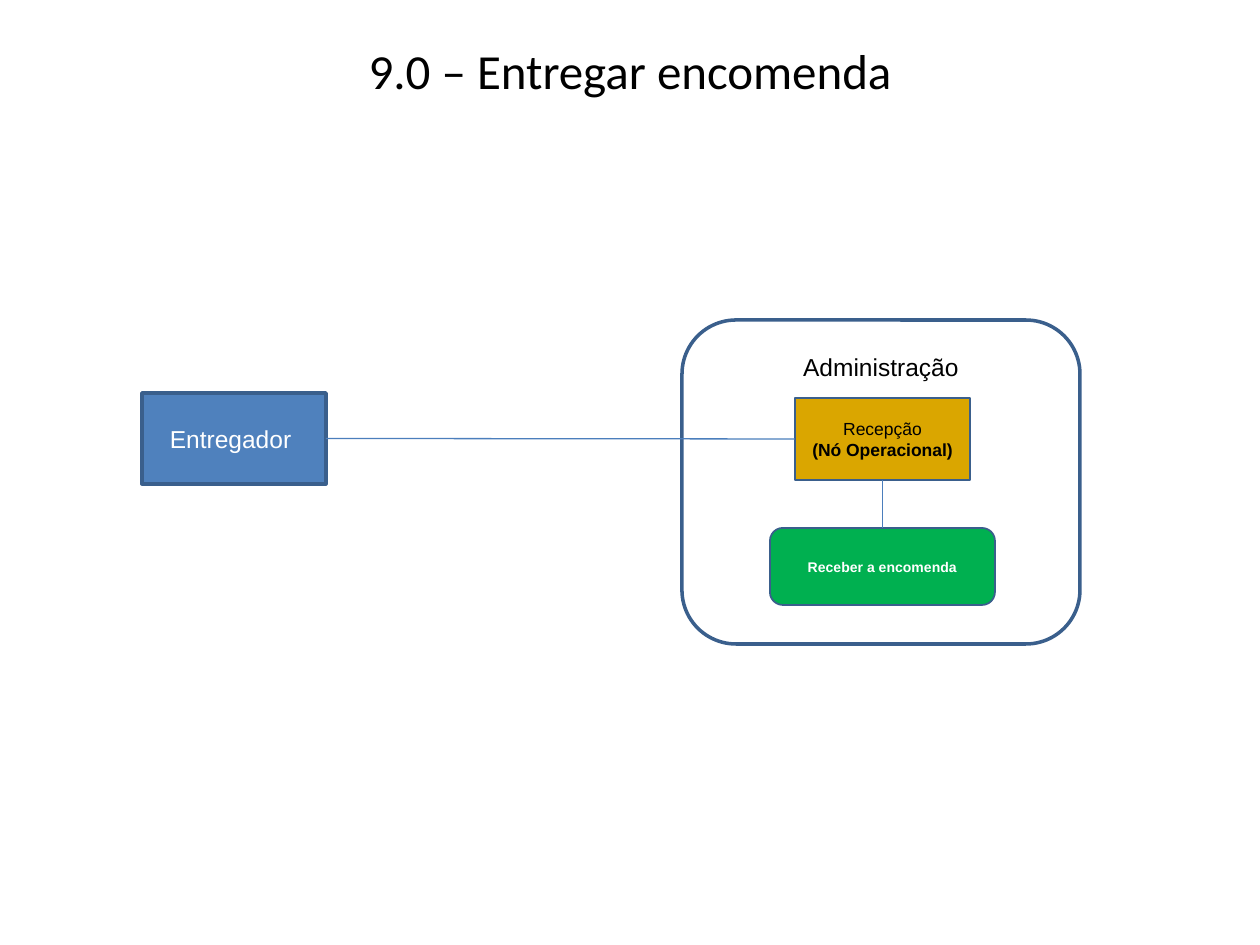
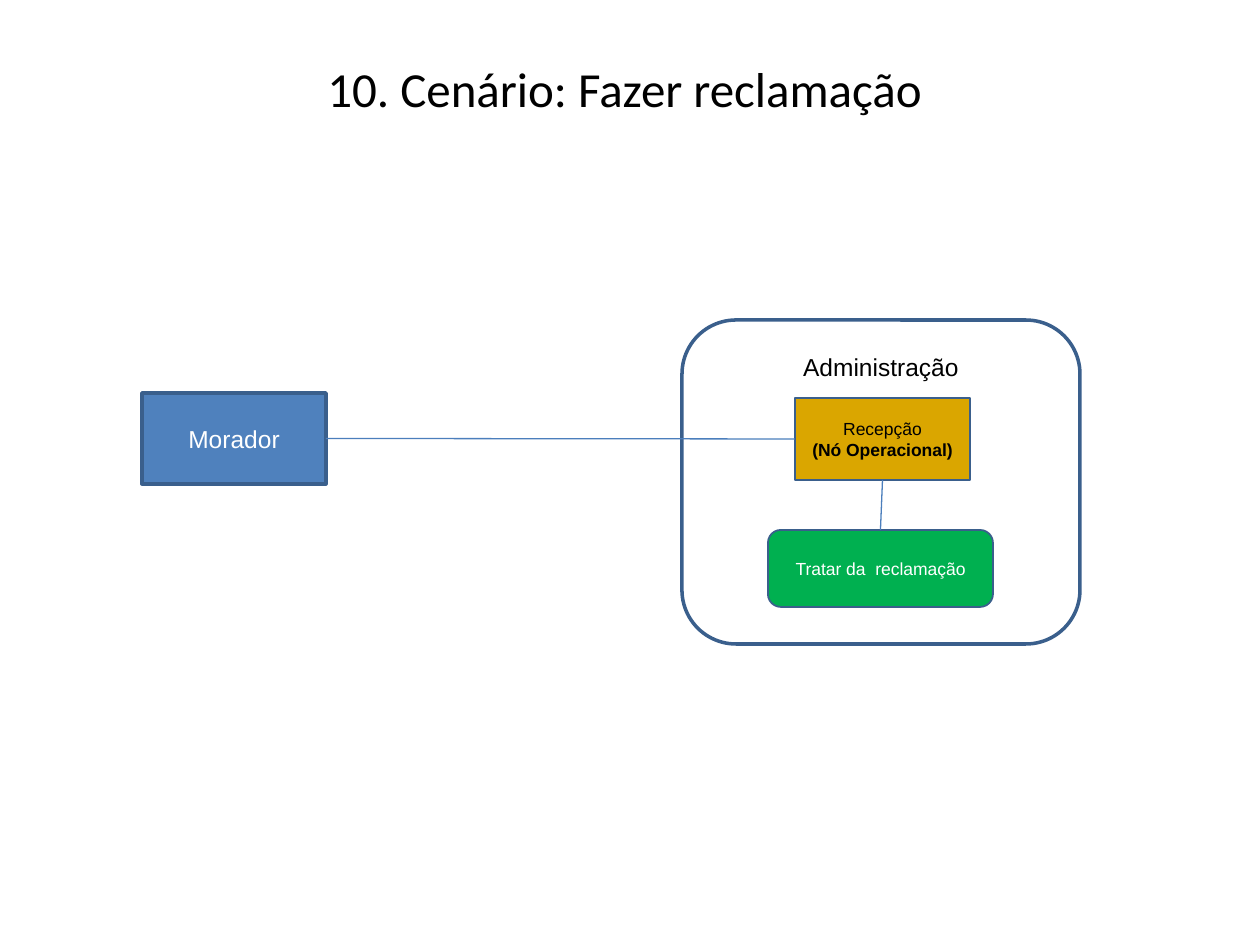
"""Builds two operational-node scenario slides that share one diagram."""
from lxml import etree
from pptx import Presentation
from pptx import util as u
from pptx.dml.color import RGBColor
from pptx.enum import shapes, text
from pptx.oxml import ns

PX = u.Inches(1) / 126
BLACK, WHITE = "000000", "FFFFFF"
ACTOR_BLUE, NODE_GOLD, TASK_GREEN = "4F81BD", "DAA600", "00B050"
OUTLINE, LINK = "3A5F8C", "4B7EBC"
RECT = shapes.MSO_SHAPE.RECTANGLE
ROUND = shapes.MSO_SHAPE.ROUNDED_RECTANGLE

SCENARIOS = [
    dict(title="9.0 – Entregar encomenda", title_inset=3, actor="Entregador ",
         task="Receber a encomenda", task_place=(770, 528, 225, 77),
         task_format=dict(size=8, bold=True)),
    dict(title="10. Cenário: Fazer reclamação ", title_inset=21, actor="Morador",
         task="Tratar da  reclamação", task_place=(768, 530, 225, 77),
         task_format=dict(size=10)),
]


def px(*lengths):
    return [u.Emu(round(length * PX)) for length in lengths]


def write(shape, *lines, size=14, color=BLACK, font="Arial", bold=(), inset=None):
    """Fill a shape with centred lines; an inset in px anchors them to the top."""
    frame = shape.text_frame
    frame.word_wrap = True
    frame.auto_size = text.MSO_AUTO_SIZE.NONE
    frame.vertical_anchor = text.MSO_ANCHOR.MIDDLE
    if inset is not None:
        frame.vertical_anchor = text.MSO_ANCHOR.TOP
        frame.margin_top = px(inset)[0]
    for number, line in enumerate(lines):
        para = frame.paragraphs[0] if number == 0 else frame.add_paragraph()
        para.alignment = text.PP_ALIGN.CENTER
        span = para.add_run()
        span.text = line
        span.font.name = font
        span.font.size = u.Pt(size)
        span.font.bold = bold is True or line in (bold or ())
        span.font.color.rgb = RGBColor.from_string(color)


deck = Presentation()
deck.slide_width, deck.slide_height = px(1260, 945)

for scenario in SCENARIOS:
    page = deck.slides.add_slide(deck.slide_layouts[5])
    title = page.shapes.title
    title.left, title.top, title.width, title.height = px(63, 38, 1134, 158)
    write(title, scenario["title"], size=28, font="Calibri",
          inset=scenario["title_inset"])

    boxes = []
    for kind, place, fill, weight, lines, style in [
        (RECT, (142, 393, 184, 91), ACTOR_BLUE, 2, [scenario["actor"]],
         dict(color=WHITE)),
        (ROUND, (682, 320, 398, 324), None, 2, ["Administração"], dict(inset=16)),
        (RECT, (795, 398, 175, 82), NODE_GOLD, 1, ["Recepção", "(Nó Operacional)"],
         dict(size=10, bold=["(Nó Operacional)"])),
        (ROUND, scenario["task_place"], TASK_GREEN, 1, [scenario["task"]],
         dict(color=WHITE, **scenario["task_format"])),
    ]:
        box = page.shapes.add_shape(kind, *px(*place))
        box.shadow.inherit = False
        if fill:
            box.fill.solid()
            box.fill.fore_color.rgb = RGBColor.from_string(fill)
        else:
            box.fill.background()
        box.line.color.rgb = RGBColor.from_string(OUTLINE)
        box.line.width = u.Pt(weight)
        write(box, *lines, **style)
        boxes.append(box)

    actor, administration, reception, task = boxes
    for start, start_side, end, end_side in [
        (actor, 3, reception, 1),
        (reception, 2, task, 0),
    ]:
        link = page.shapes.add_connector(shapes.MSO_CONNECTOR.STRAIGHT, 0, 0, 0, 0)
        link.begin_connect(start, start_side)
        link.end_connect(end, end_side)
        link.line.color.rgb = RGBColor.from_string(LINK)
        link.line.width = u.Pt(0.75)
        etree.SubElement(link._element.spPr, ns.qn("a:effectLst"))

deck.save("out.pptx")
